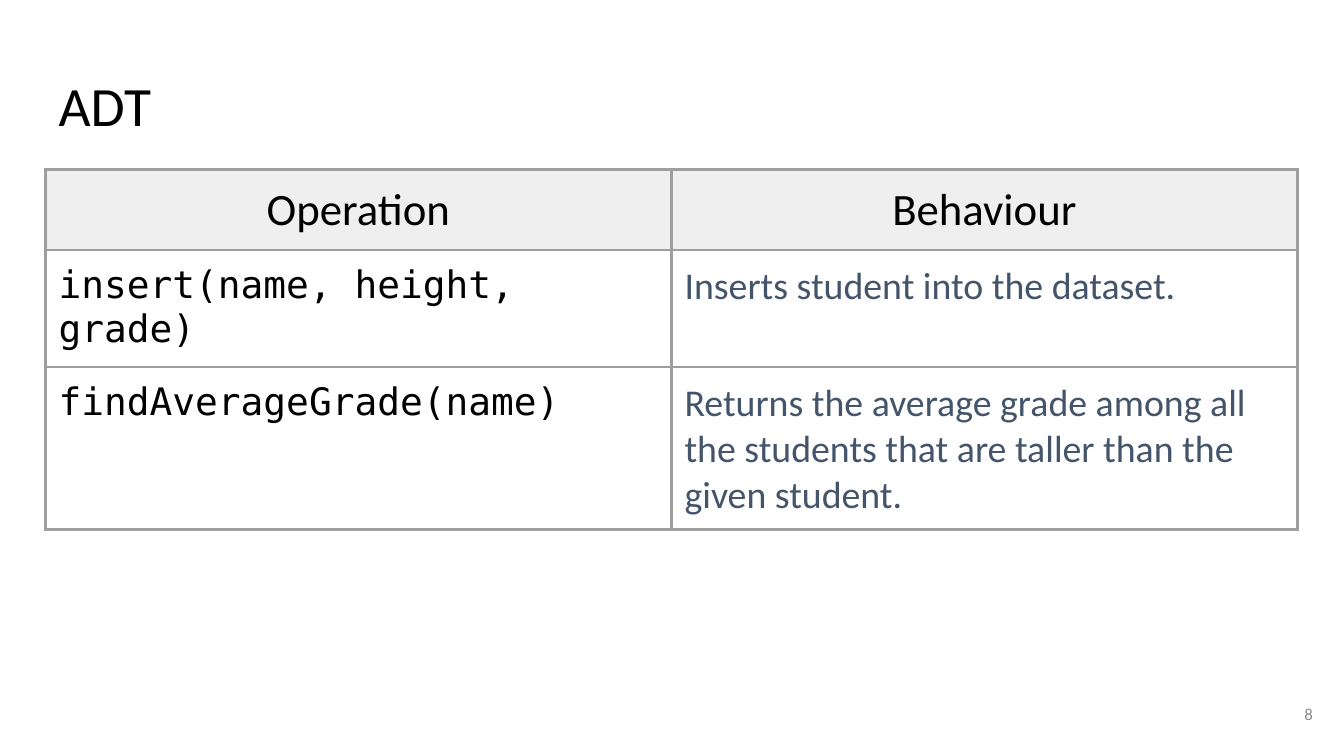
from lxml import etree
from pptx import Presentation
from pptx.dml.color import RGBColor
from pptx.enum.text import MSO_ANCHOR, PP_ALIGN
from pptx.oxml.ns import qn
from pptx.util import Inches, Pt

LEFT, CENTER, RIGHT = PP_ALIGN.LEFT, PP_ALIGN.CENTER, PP_ALIGN.RIGHT
TOP, MIDDLE = MSO_ANCHOR.TOP, MSO_ANCHOR.MIDDLE

BLACK = RGBColor(0x00, 0x00, 0x00)
SLATE = RGBColor(0x44, 0x54, 0x6A)
PAGE_GRAY = RGBColor(0x8C, 0x8C, 0x8C)
BORDER_GRAY = RGBColor(0x9E, 0x9E, 0x9E)
HEADER_GRAY = RGBColor(0xEF, 0xEF, 0xEF)

SANS, MONO = "Calibri", "DejaVu Sans Mono"
WIDTH, HEIGHT = Inches(13.33), Inches(7.5)
MARGIN = Inches(0.13)
TITLE_ONLY = 5

HEADINGS = ("Operation", "Behaviour")
OPERATIONS = (
    ("insert(name, height, grade)", "Inserts student into the dataset."),
    ("findAverageGrade(name)",
     "Returns the average grade among all the students "
     "that are taller than the given student."),
)
# Lengths below are percentages of the slide's width or height.
ROW_SHARES = (10.67, 9.47, 21.33)
CONTENT_LEFT, CONTENT_WIDTH = 3.38, 93.17


class SlideBuilder:
    """Places styled elements by percentages of the slide's size."""

    def __init__(self, presentation):
        self.slide = presentation.slides.add_slide(
            presentation.slide_layouts[TITLE_ONLY])

    @staticmethod
    def box(left, top, width, height):
        return (round(left * WIDTH / 100), round(top * HEIGHT / 100),
                round(width * WIDTH / 100), round(height * HEIGHT / 100))

    @staticmethod
    def set_margins(target):
        """Apply the common margin to a text frame or a table cell."""
        target.margin_left = target.margin_right = MARGIN
        target.margin_top = target.margin_bottom = MARGIN

    @staticmethod
    def put_text(text_frame, text, size, color=BLACK, font=SANS, align=LEFT):
        paragraph = text_frame.paragraphs[0]
        paragraph.text = text
        paragraph.alignment = align
        paragraph.font.name = font
        paragraph.font.size = Pt(size)
        paragraph.font.color.rgb = color
        return paragraph

    def frame(self, shape, anchor):
        text_frame = shape.text_frame
        text_frame.word_wrap = True
        text_frame.vertical_anchor = anchor
        self.set_margins(text_frame)
        return text_frame

    def title(self, text, *shares):
        shape = self.slide.shapes.title
        shape.left, shape.top, shape.width, shape.height = self.box(*shares)
        paragraph = self.put_text(self.frame(shape, TOP), text, 39.6)
        paragraph.line_spacing = 0.9

    def page_number(self, text, *shares):
        shape = self.slide.shapes.add_textbox(*self.box(*shares))
        self.put_text(self.frame(shape, MIDDLE), text, 12, PAGE_GRAY,
                      align=RIGHT)

    def border(self, cell):
        properties = cell._tc.get_or_add_tcPr()
        for index, side in enumerate(("a:lnL", "a:lnR", "a:lnT", "a:lnB")):
            line = etree.Element(qn(side), w=str(Pt(2.25)))
            fill = etree.SubElement(line, qn("a:solidFill"))
            etree.SubElement(fill, qn("a:srgbClr"), val=str(BORDER_GRAY))
            properties.insert(index, line)

    def cell(self, cell, text, size, color=BLACK, font=SANS, align=LEFT,
             fill=None):
        self.set_margins(cell)
        self.put_text(cell.text_frame, text, size, color, font, align)
        if fill is None:
            cell.fill.background()
        else:
            cell.fill.solid()
            cell.fill.fore_color.rgb = fill
        self.border(cell)

    def operations_table(self, *shares):
        table = self.slide.shapes.add_table(
            len(ROW_SHARES), len(HEADINGS), *self.box(*shares)).table
        table.first_row = table.horz_banding = False
        properties = table._tbl.tblPr
        properties.remove(properties.find(qn("a:tableStyleId")))
        for row, share in zip(table.rows, ROW_SHARES):
            row.height = round(share * HEIGHT / 100)
        for column, heading in enumerate(HEADINGS):
            self.cell(table.cell(0, column), heading, 32, align=CENTER,
                      fill=HEADER_GRAY)
        for row, (operation, behaviour) in enumerate(OPERATIONS, start=1):
            self.cell(table.cell(row, 0), operation, 27, font=MONO)
            self.cell(table.cell(row, 1), behaviour, 27, SLATE)


def main():
    presentation = Presentation()
    presentation.slide_width, presentation.slide_height = WIDTH, HEIGHT
    builder = SlideBuilder(presentation)
    builder.title("ADT", CONTENT_LEFT, 8.67, CONTENT_WIDTH, 11.2)
    builder.page_number("8", 92.65, 90.67, 6, 7.6)
    builder.operations_table(CONTENT_LEFT, 22.4, CONTENT_WIDTH,
                             sum(ROW_SHARES))
    presentation.save("out.pptx")


if __name__ == "__main__":
    main()
